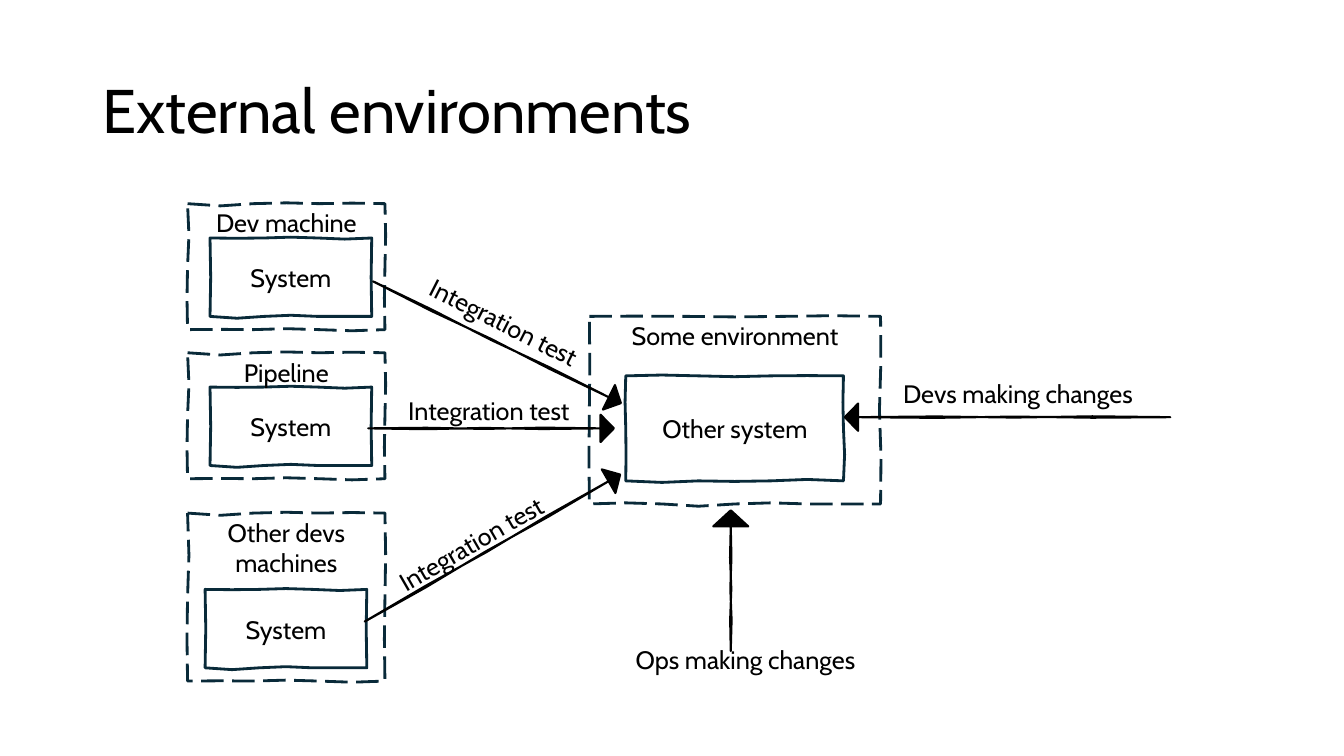
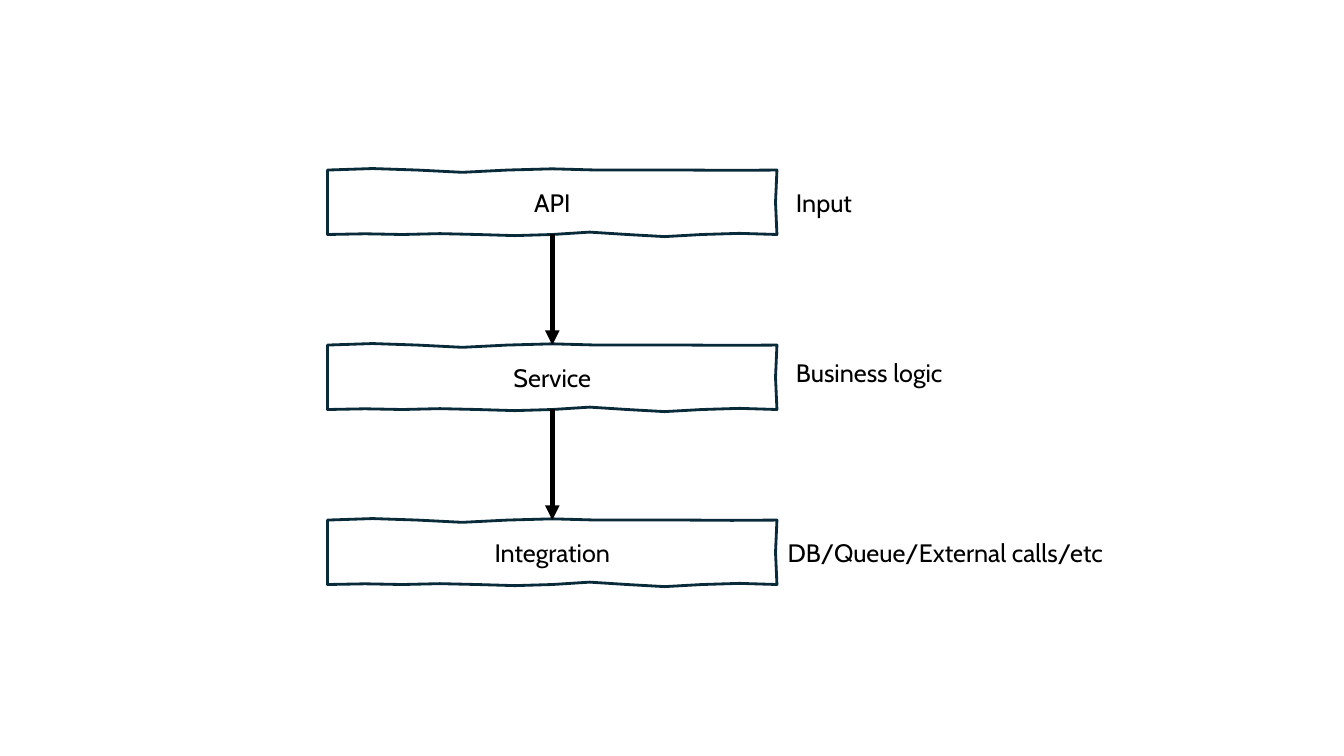
from dataclasses import dataclass
from math import hypot

from lxml.etree import SubElement
from pptx import Presentation
from pptx.dml.color import RGBColor as RGB
from pptx.enum.dml import MSO_LINE
from pptx.enum.shapes import MSO_CONNECTOR as Link
from pptx.enum.text import MSO_ANCHOR as Anchor, PP_ALIGN as Align
from pptx.oxml.ns import qn
from pptx.util import Pt


@dataclass(frozen=True)
class Theme:
    font: str = "Cabin"
    ink: RGB = RGB(0, 0, 0)
    edge: RGB = RGB(0x09, 0x2A, 0x39)
    title: float = 44
    body: float = 18
    border: float = 2
    pen: float = 1.5
    bold: float = 3.5


@dataclass(frozen=True)
class Box:
    """A rectangle in points."""
    x: float
    y: float
    w: float
    h: float

    def sub(self, dx, dy, w, h):
        return Box(self.x + dx, self.y + dy, w, h)

    def spot(self, dx, dy):
        return self.x + dx, self.y + dy


@dataclass(frozen=True)
class Wave:
    """Evenly spaced offsets in points along the four edges of a sketched box."""
    top: tuple
    right: tuple
    bottom: tuple
    left: tuple


THEME = Theme()
CORE = Wave((0, 0.2, 0, -0.6, 0, 0.8, 0), (0, -0.4, 0),
            (0, 1.3, 0, -0.8, 0, 0, 0), (0, 0.5, 0))
FRAME = Wave((0, 1.6, 0, -0.6, 0, -0.4, 0), (0, 0.5, 0, -0.4, 0),
             (0, -0.2, 0, -0.7, 0, 0.8, 0), (0, 1, 0, -0.4, 0))
ZONE = Wave((0, -0.2, 0, 0.4, 0, -0.5, 0), (0, 0.2, -0.8, 0.3, 0),
            (0, -0.8, 0, 1.6, 0, -0.8, 0, 0, 0), (0, 0.3, 0, -0.3, 0))
HUB = Wave((0, -0.6, 0, 0.6, 0, -0.2, 0), (0, -0.4, 0, 0.8, 0),
           (0, 1.1, 0, 0.4, 0, -1, 0), (0, -0.5, 0, 0.2, 0))
BAR = Wave((0, -1.1, 0, 1.6, 0, -0.9, 0, 0, 0, 0.2, 0), (0, -1, 0),
           (0, -0.5, 0, -0.6, 0, 0.8, 0, -1.7, 0, 1.5, 0, -0.8, 0), (0, 0))


def knots(wave):
    """Pair each offset with its share of the edge."""
    return [(i / (len(wave) - 1), off) for i, off in enumerate(wave)]


def rim(box, wave):
    """List the points of a hand-drawn rectangle, clockwise."""
    top = [box.spot(t * box.w, d) for t, d in knots(wave.top)]
    right = [box.spot(box.w + d, t * box.h) for t, d in knots(wave.right)]
    base = [box.spot(t * box.w, box.h + d) for t, d in knots(wave.bottom)]
    left = [box.spot(d, t * box.h) for t, d in knots(wave.left)]
    return top + right[1:] + base[-2::-1] + left[-2:0:-1]


def trace(slide, dots):
    """Draw a closed outline through the points."""
    ends = [(Pt(x), Pt(y)) for x, y in dots]
    pen = slide.shapes.build_freeform(*ends[0])
    pen.add_line_segments(ends[1:], close=True)
    shape = pen.convert_to_shape()
    shape.shadow.inherit = False
    return shape


def write(frame, text, size=THEME.body, align=Align.LEFT, anchor=Anchor.TOP):
    frame.text = text
    frame.word_wrap = True
    frame.vertical_anchor = anchor
    para = frame.paragraphs[0]
    para.alignment = align
    font = para.runs[0].font
    font.name, font.size, font.color.rgb = THEME.font, Pt(size), THEME.ink
    return para


def label(slide, box, text, turn=0, **style):
    shape = slide.shapes.add_textbox(Pt(box.x), Pt(box.y), Pt(box.w), Pt(box.h))
    shape.rotation = turn
    return write(shape.text_frame, text, **style)


def sketch(slide, box, text, wave, dash=False):
    """Draw a hand-drawn box; a dashed one carries its text at the top."""
    shape = trace(slide, rim(box, wave))
    shape.fill.background()
    shape.line.color.rgb = THEME.edge
    shape.line.width = Pt(THEME.border)
    if dash:
        shape.line.dash_style = MSO_LINE.LONG_DASH
    write(shape.text_frame, text, align=Align.CENTER,
          anchor=Anchor.TOP if dash else Anchor.MIDDLE)


def arrow(slide, start, end, head=9.5, half=9.75):
    """Draw a hand-drawn arrow with a solid head."""
    (x, y), (u, v) = start, end
    size = hypot(u - x, v - y)
    ax, ay = (u - x) / size, (v - y) / size
    neck = size - head
    route = [(t * neck, d) for t, d in knots((0, 0.6, -0.3, 0.5, 0))]
    route += [(neck, half), (size, 0), (neck, -half)]
    route += [(t * neck, d) for t, d in knots((0, -0.4, 0.4, -0.5, 0))[:0:-1]]
    shape = trace(slide, [(x + a * ax - b * ay, y + a * ay + b * ax)
                          for a, b in route])
    shape.fill.solid()
    shape.fill.fore_color.rgb = THEME.ink
    shape.line.color.rgb = THEME.ink
    shape.line.width = Pt(THEME.pen)


def link(slide, start, end):
    """Draw a straight connector with a triangle at its end."""
    line = slide.shapes.add_connector(Link.STRAIGHT, *map(Pt, start + end))
    line.line.color.rgb = THEME.ink
    line.line.width = Pt(THEME.bold)
    props = line._element.spPr
    SubElement(props.find(qn("a:ln")), qn("a:tailEnd"), type="triangle")
    SubElement(props, qn("a:effectLst"))


def host(slide, box, name, inset=16):
    """Draw a machine that holds a system."""
    w, h, gap = 115.5, 56, 9.5
    sketch(slide, box.sub(inset, box.h - h - gap, w, h), "System", CORE)
    sketch(slide, box, name, FRAME, dash=True)


def target(slide, box):
    """Draw the environment that holds the other system."""
    sketch(slide, box.sub(26, 42.5, 155.5, 75), "Other system", HUB)
    sketch(slide, box, "Some environment", ZONE, dash=True)


def network(slide, box):
    """Draw the machines, the shared environment and all that reaches it."""
    hosts = [("Dev machine", 0, 90, 16), ("Pipeline", 106.5, 90, 16),
             ("Other devs machines", 221, 120, 12.5)]
    for name, top, tall, inset in hosts:
        host(slide, box.sub(0, top, 141, tall), name, inset)
    target(slide, box.sub(287, 80.5, 208, 134))

    tests = [((132.5, 55.5), (309.5, 142.5), (161, 71), 27),
             ((129, 160.5), (304.5, 160.5), (150.5, 133), 0),
             ((126.5, 298.5), (309, 193.5), (137.5, 227.5), -30)]
    for start, end, place, turn in tests:
        arrow(slide, box.spot(*start), box.spot(*end))
        label(slide, box.sub(*place, 132.5, 29), "Integration test", turn)

    arrow(slide, box.spot(702, 152.5), box.spot(469.5, 152.5))
    label(slide, box.sub(504, 121.5, 184.5, 29), "Devs making changes")
    arrow(slide, box.spot(388, 319.5), box.spot(388, 219), 11.5, 12.5)
    label(slide, box.sub(313, 311.5, 178, 29), "Ops making changes")


def layers(slide, box):
    """Draw a stack of layers, each with a remark on its right."""
    rows = [("API", "Input", 6.5, 8.5, 60),
            ("Service", "Business logic", 6.5, 5, 201.5),
            ("Integration", "DB/Queue/External calls/etc", 0.5, 8.5, 258.5)]
    tall = 46
    pitch = (box.h - tall) / (len(rows) - 1)
    for i, (name, note, dx, dy, wide) in enumerate(rows):
        top = i * pitch
        sketch(slide, box.sub(0, top, box.w, tall), name, BAR)
        label(slide, box.sub(box.w + dx, top + dy, wide, 29), note)
        if i:
            link(slide, box.spot(box.w / 2, top - pitch + tall),
                 box.spot(box.w / 2, top))


def heading(slide, text):
    para = label(slide, Box(66, 29, 828, 104), text, size=THEME.title,
                 anchor=Anchor.MIDDLE)
    para.line_spacing = 0.9


def main():
    deck = Presentation()
    deck.slide_width, deck.slide_height = Pt(960), Pt(540)
    blank = deck.slide_layouts[6]

    slide = deck.slides.add_slide(blank)
    heading(slide, "External environments")
    network(slide, Box(134, 145.5, 702, 342))

    layers(deck.slides.add_slide(blank), Box(234, 121.5, 321, 296))
    deck.save("out.pptx")


if __name__ == "__main__":
    main()
